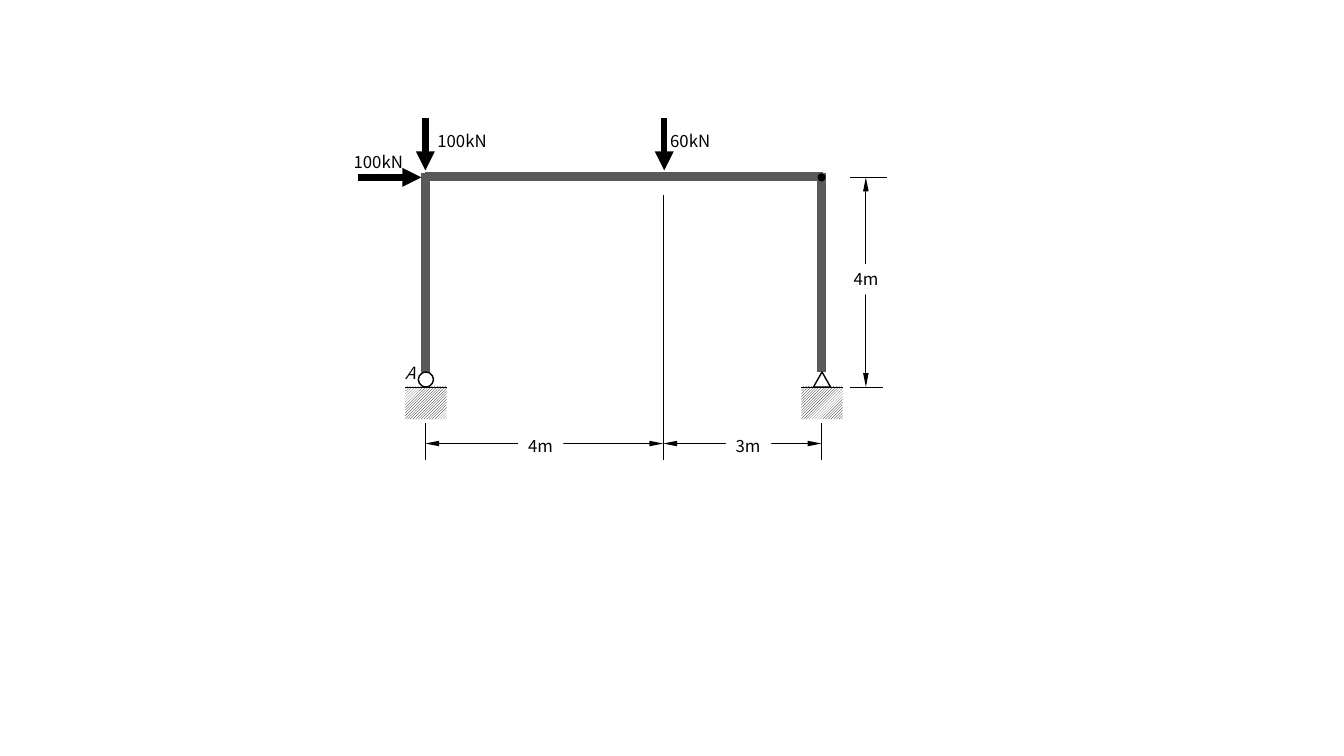
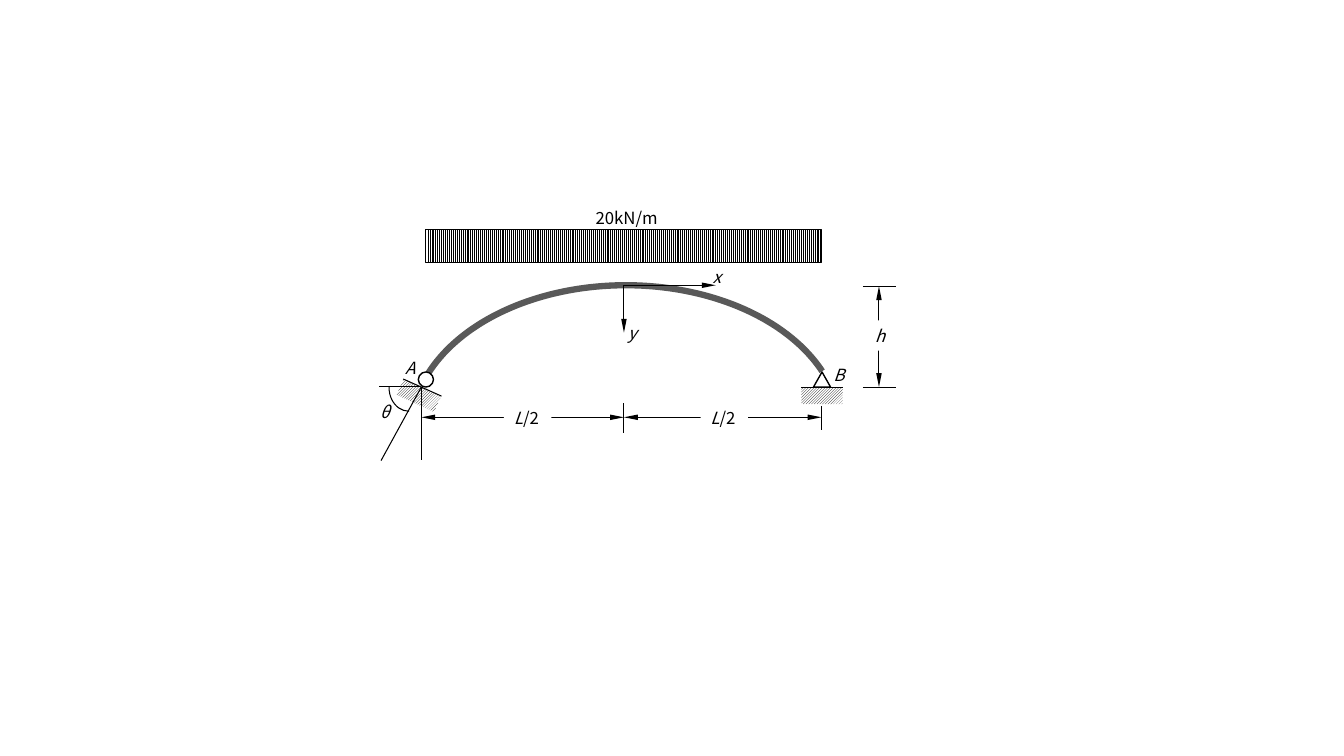
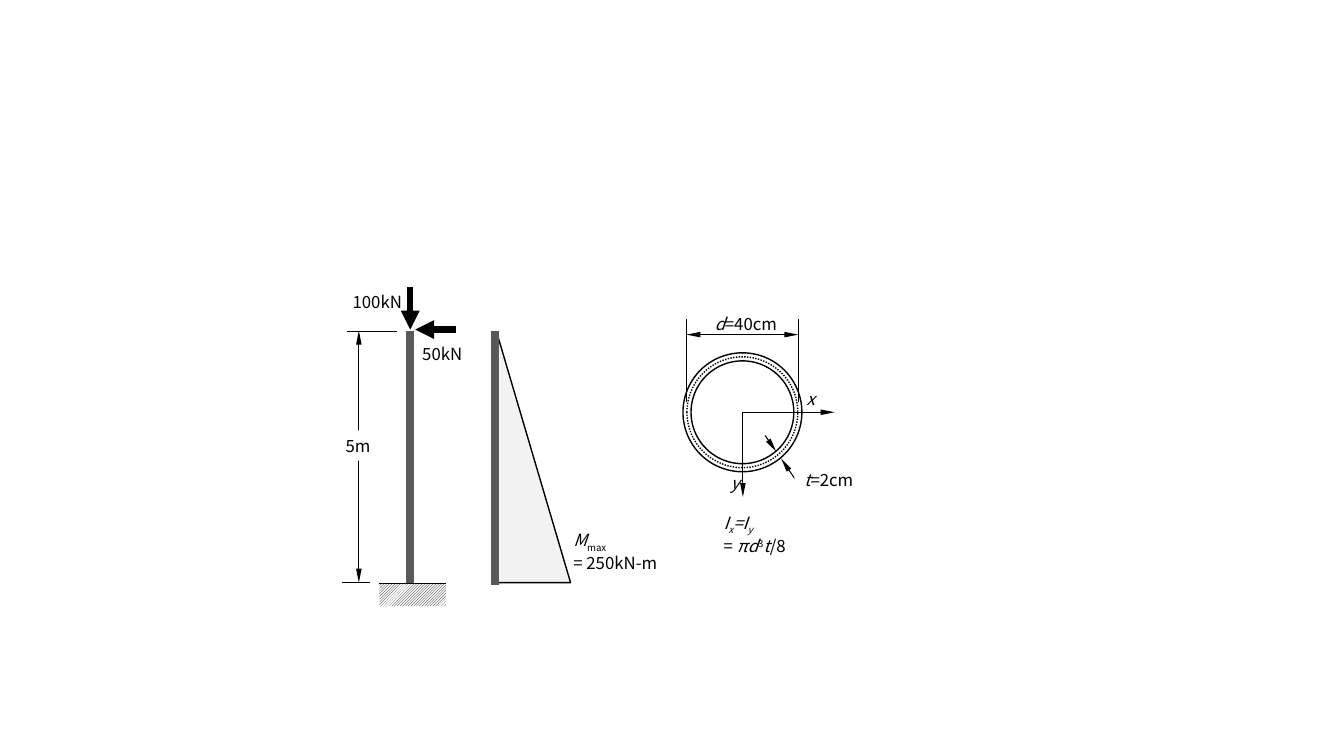
"""Draws three structural diagrams: a portal frame, an arch and a cantilever column."""
from lxml.etree import SubElement
from pptx import Presentation
from pptx.dml.color import RGBColor
from pptx.enum.dml import MSO_LINE, MSO_PATTERN
from pptx.enum.shapes import MSO_CONNECTOR, MSO_SHAPE
from pptx.enum.text import MSO_AUTO_SIZE
from pptx.oxml.ns import qn
from pptx.util import Inches, Pt

CELL = Inches(0.1)
COLUMNS, ROWS = 133.33, 75
COLOURS = {"ink": "000000", "member": "595959", "paper": "FFFFFF", "moment": "F2F2F2"}
PATTERNS = {"ground": MSO_PATTERN.LIGHT_UPWARD_DIAGONAL, "load": MSO_PATTERN.LIGHT_VERTICAL}
STROKES = {
    "member": ("member", 6, {}),
    "arch": ("member", 4.5, {}),
    "force": ("ink", 4.5, {"tailEnd": ("med", "med")}),
    "dimension": ("ink", 0.75, {"headEnd": ("sm", "lg"), "tailEnd": ("sm", "lg")}),
    "axis": ("ink", 0.75, {"tailEnd": ("sm", "lg")}),
    "thin": ("ink", 0.75, {}),
    "outline": ("ink", 1, {}),
    "dotted": ("ink", 1, {}),
}
SCRIPTS = {"italic": (True, 0), "upright": (False, 0), "sub": (False, -25),
           "italic sub": (True, -25), "super": (False, 30)}
TEXT_FORMAT = {"name": "Noto Sans CJK KR", "size": Pt(12)}
BOX_FORMAT = {"word_wrap": False, "auto_size": MSO_AUTO_SIZE.SHAPE_TO_FIT_TEXT}


def colour(name):
    return RGBColor.from_string(COLOURS[name])


def draw_shape(slide, kind, box, fill=None, stroke=None, tilt=0, angles=()):
    shape = slide.shapes.add_shape(kind, *(int(cells * CELL) for cells in box))
    shape.shadow.inherit = False
    shape.rotation = tilt
    for index, angle in enumerate(angles):
        shape.adjustments[index] = angle
    if fill in PATTERNS:
        shape.fill.patterned()
        shape.fill.pattern = PATTERNS[fill]
        shape.fill.fore_color.rgb = colour("ink")
        shape.fill.back_color.rgb = colour("paper")
    elif fill:
        shape.fill.solid()
        shape.fill.fore_color.rgb = colour(fill)
    else:
        shape.fill.background()
    if stroke:
        ink, width, _ = STROKES[stroke]
        shape.line.color.rgb = colour(ink)
        shape.line.width = Pt(width)
        if stroke == "dotted":
            shape.line.dash_style = MSO_LINE.ROUND_DOT
    else:
        shape.line.fill.background()


left, middle, right = 42.2, 61.9, 81.5
ground = 38.4
roller = (MSO_SHAPE.OVAL, (41.5, 36.9, 1.5, 1.5), "paper", "outline")
pin = (MSO_SHAPE.ISOSCELES_TRIANGLE, (80.7, 36.9, 1.7, 1.5), None, "outline")

load, beam, span = 65.8, 17.6, 44
frame = {
    "areas": [(MSO_SHAPE.RECTANGLE, (edge, 38.3, 4.1, 3.3), "ground") for edge in (40.2, 79.5)],
    "lines": [
        ("member", left, 17.5, 81.6, 17.5),
        ("member", right, 36.9, right, 17.2),
        ("member", left, 36.9, left, 17.2),
        ("thin", 40.2, ground, 44.3, ground),
        ("thin", 79.5, ground, 83.6, ground),
        ("force", 35.5, beam, 41.8, beam),
        ("force", left, 11.7, left, 16.9),
        ("force", 65.9, 11.7, 65.9, 16.9),
        ("dimension", 85.9, beam, 85.9, ground),
        ("thin", 84.3, beam, 88, beam),
        ("thin", 84.3, ground, 87.6, ground),
        ("dimension", left, span, load, span),
        ("dimension", load, span, right, span),
        ("thin", left, 42, left, 45.6),
        ("thin", load, 19.3, load, 45.6),
        ("thin", right, 42, right, 45.6),
    ],
    "joints": [roller, pin, (MSO_SHAPE.OVAL, (81.1, 17.2, 0.8, 0.8), "ink")],
    "labels": [
        (34.1, 14.6, 7.2, None, [[("100kN", "upright")]]),
        (42.4, 12.5, 7.2, None, [[("100kN", "upright")]]),
        (65.5, 12.5, 6.2, None, [[("60kN", "upright")]]),
        (83.7, 26.2, 4.5, "paper", [[("4m", "upright")]]),
        (51.4, 42.7, 4.5, "paper", [[("4m", "upright")]]),
        (72, 42.7, 4.5, "paper", [[("3m", "upright")]]),
        (39.2, 35.5, 3.1, None, [[("A", "italic")]]),
    ],
}

crown, half_span, foot = 28.3, 41.4, 41.8
arch = {
    "areas": [
        (MSO_SHAPE.RECTANGLE, (39.5, 38.4, 4.1, 1.7), "ground", None, 24.7),
        (MSO_SHAPE.RECTANGLE, (79.5, 38.4, 4.1, 1.7), "ground"),
        (MSO_SHAPE.RECTANGLE, (42.25, 22.75, 39.2, 3.3), "load", "thin"),
        (MSO_SHAPE.ARC, (40.8, crown, 42.6, 28.7), None, "arch", 0, (117.61, 206.02)),
        (MSO_SHAPE.ARC, (38.6, 36.1, 3.9, 4.7), None, "thin", 0, (53.25, 108.84)),
    ],
    "lines": [
        ("thin", 40, 37.6, 43.8, 39.3),
        ("thin", 79.5, ground, 83.6, ground),
        ("dimension", foot, half_span, middle, half_span),
        ("dimension", middle, half_span, right, half_span),
        ("thin", middle, 40, middle, 43),
        ("thin", right, 40.3, right, 42.7),
        ("dimension", 87.2, 28.4, 87.2, ground),
        ("thin", 85.6, 28.4, 88.9, 28.4),
        ("thin", 85.6, ground, 88.9, ground),
        ("axis", middle, crown, middle, 33),
        ("axis", middle, crown, 71, crown),
        ("thin", 37.6, 38.3, 41.7, 38.3),
        ("thin", foot, ground, foot, 45.6),
        ("thin", foot, ground, 37.8, 45.7),
    ],
    "joints": [roller, pin],
    "labels": [
        *((edge, 40, 4.7, "paper", [[("L", "italic"), ("/2", "upright")]]) for edge in (50, 69.5)),
        (39.2, 35, 3.1, None, [[("A", "italic")]]),
        (81.7, 35.7, 3.2, None, [[("B", "italic")]]),
        (85.8, 31.8, 3.1, "paper", [[("h", "italic")]]),
        (69.7, 26, 3.1, None, [[("x", "italic")]]),
        (61.3, 31.5, 2.9, None, [[("y", "italic")]]),
        (58.1, 20.1, 8.5, None, [[("20kN/m", "upright")]]),
        (36.7, 39.4, 3.1, None, [[("θ", "italic")]]),
    ],
}

shaft, top, base, height = 40.7, 32.8, 57.9, 35.6
centre_x, centre_y, radius = 73.65, 40.9, 5.5
column = {
    "areas": [
        (MSO_SHAPE.RIGHT_TRIANGLE, (49.4, 33.4, 7.2, 24.4), "moment", "outline"),
        (MSO_SHAPE.RECTANGLE, (37.65, 57.85, 6.6, 2.3), "ground"),
        *((MSO_SHAPE.OVAL, (centre_x - reach, centre_y - reach, 2 * reach, 2 * reach), None, stroke)
          for reach, stroke in ((radius + 0.4, "outline"), (radius, "dotted"),
                                (radius - 0.4, "outline"))),
    ],
    "lines": [
        ("member", shaft, top, shaft, base),
        ("member", 49.1, top, 49.1, 58),
        ("thin", 37.6, base, 44.2, base),
        ("dimension", height, top, height, 57.8),
        ("thin", 34.4, 32.9, 39.4, 32.9),
        ("thin", 33.9, 57.8, 36.7, 57.8),
        ("force", 45.2, 32.7, 41.2, 32.7),
        ("force", shaft, 28.5, shaft, 32.7),
        ("axis", 73.7, centre_y, 73.7, 49.3),
        ("axis", 73.7, centre_y, 82.8, centre_y),
        ("dimension", 68.1, 33.2, 79.2, 33.2),
        ("thin", 68.1, 31.6, 68.1, 39.9),
        ("thin", 79.2, 31.6, 79.2, 39.9),
        ("axis", 79.4, 48.3, 77.5, 45.5),
        ("axis", 75.9, 43.2, 77, 44.8),
    ],
    "joints": [],
    "labels": [
        (69.9, 30.6, 8.2, None, [[("d", "italic"), ("=40cm", "upright")]]),
        (55.9, 52.1, 11, None, [[("M", "italic"), ("max", "sub")], [("= 250kN-m", "upright")]]),
        (33.3, 42.7, 4.5, "paper", [[("5m", "upright")]]),
        (40.9, 33.6, 6.2, None, [[("50kN", "upright")]]),
        (34, 28.5, 7.2, None, [[("100kN", "upright")]]),
        (79, 38.1, 3.1, None, [[("x", "italic")]]),
        (71.5, 46.4, 2.9, None, [[("y", "italic")]]),
        (78.8, 46.1, 7.3, "paper", [[("t", "italic"), ("=2cm", "upright")]]),
        (70.8, 50.4, 8.6, None, [
            [("I", "italic"), ("x", "italic sub"), ("=I", "italic"), ("y", "italic sub")],
            [("= ", "upright"), ("πd", "italic"), ("3", "super"), ("t", "italic"),
             ("/8", "upright")],
        ]),
    ],
}

deck = Presentation()
deck.slide_width, deck.slide_height = int(COLUMNS * CELL), int(ROWS * CELL)

for diagram in (frame, arch, column):
    slide = deck.slides.add_slide(deck.slide_layouts[6])

    for area in diagram["areas"]:
        draw_shape(slide, *area)

    for stroke, *ends in diagram["lines"]:
        ink, width, arrowheads = STROKES[stroke]
        rule = slide.shapes.add_connector(
            MSO_CONNECTOR.STRAIGHT, *(int(cells * CELL) for cells in ends))
        rule.line.color.rgb = colour(ink)
        rule.line.width = Pt(width)
        outline = rule.line._get_or_add_ln()
        for tag, (breadth, length) in arrowheads.items():
            SubElement(outline, qn(f"a:{tag}"), type="triangle", w=breadth, len=length)
        SubElement(rule._element.spPr, qn("a:effectLst"))

    for joint in diagram["joints"]:
        draw_shape(slide, *joint)

    for col, row, cols, fill, paragraphs in diagram["labels"]:
        rows = 1 + 2 * len(paragraphs)
        label = slide.shapes.add_textbox(*(int(cells * CELL) for cells in (col, row, cols, rows)))
        if fill:
            label.fill.solid()
            label.fill.fore_color.rgb = colour(fill)
        for attribute, value in BOX_FORMAT.items():
            setattr(label.text_frame, attribute, value)
        for index, pieces in enumerate(paragraphs):
            paragraph = label.text_frame.add_paragraph() if index else label.text_frame.paragraphs[0]
            for words, script in pieces:
                italic, baseline = SCRIPTS[script]
                run = paragraph.add_run()
                run.text = words
                for attribute, value in {**TEXT_FORMAT, "italic": italic}.items():
                    setattr(run.font, attribute, value)
                run.font.color.rgb = colour("ink")
                if baseline:
                    run._r.get_or_add_rPr().set("baseline", str(baseline * 1000))

deck.save("out.pptx")
